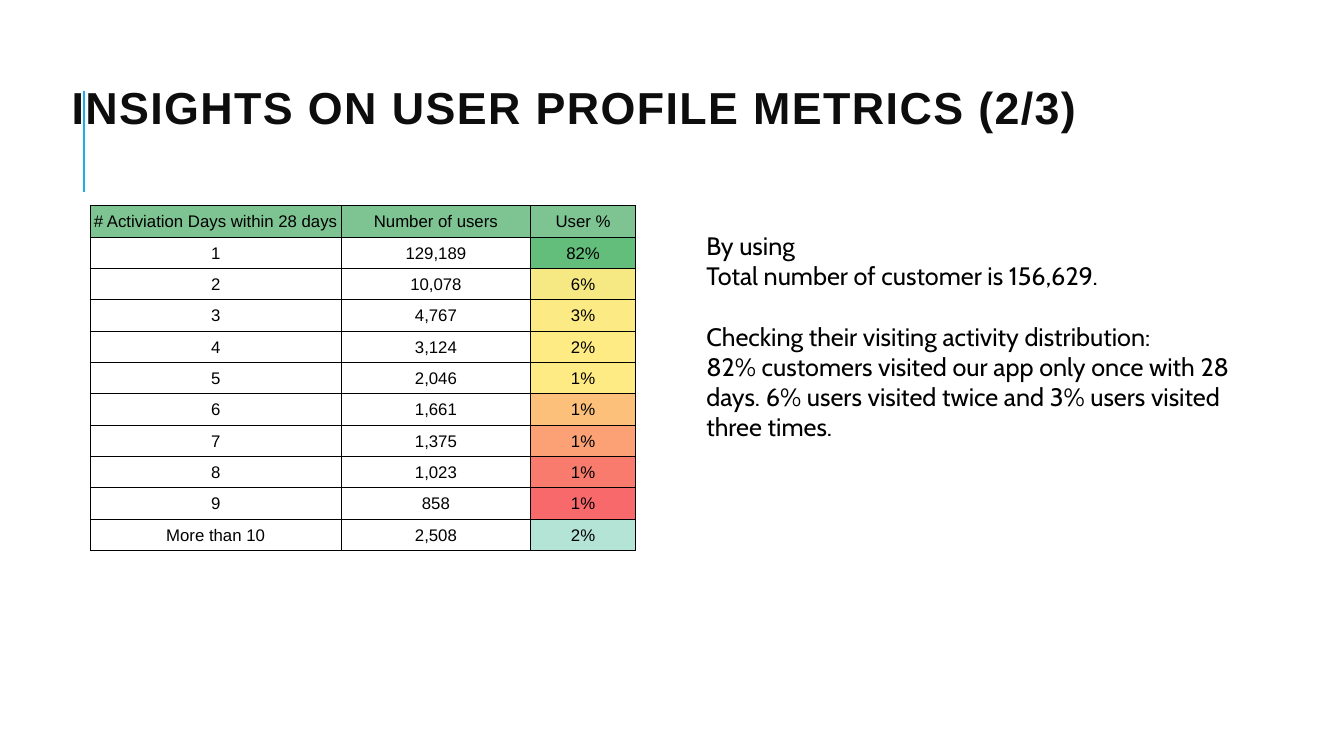
from lxml import etree
from pptx import Presentation
from pptx.dml.color import RGBColor
from pptx.enum.shapes import MSO_CONNECTOR
from pptx.enum.text import MSO_ANCHOR, MSO_AUTO_SIZE, PP_ALIGN
from pptx.oxml import parse_xml
from pptx.oxml.ns import nsdecls, qn
from pptx.util import Pt

MIDDLE, TOP = MSO_ANCHOR.MIDDLE, MSO_ANCHOR.TOP
LEFT, CENTER = PP_ALIGN.LEFT, PP_ALIGN.CENTER
NO_FIT, GROW = MSO_AUTO_SIZE.NONE, MSO_AUTO_SIZE.SHAPE_TO_FIT_TEXT
STRAIGHT = MSO_CONNECTOR.STRAIGHT

BLACK = RGBColor(0x00, 0x00, 0x00)
INK = RGBColor(0x0D, 0x0D, 0x0D)
ACCENT = RGBColor(0x1C, 0xAD, 0xE4)
HEADER_GREEN = RGBColor(0x7E, 0xC4, 0x92)

HEADING = "INSIGHTS ON USER PROFILE METRICS (2/3)"
INSIGHTS = [
    ("By using", 0),
    ("Total number of customer is 156,629.", 0),
    ("Checking their visiting activity distribution:", 21.8),
    ("82% customers visited our app only once with 28 days. "
     "6% users visited twice and 3% users visited three times.", 0),
]
COLUMNS = ("# Activiation Days within 28 days", "Number of users", "User %")
COLUMN_WIDTHS = (179.3, 135.4, 74.9)
ACTIVITY = [
    ("1", "129,189", "82%", RGBColor(0x63, 0xBE, 0x7B)),
    ("2", "10,078", "6%", RGBColor(0xF6, 0xE9, 0x84)),
    ("3", "4,767", "3%", RGBColor(0xFC, 0xEB, 0x84)),
    ("4", "3,124", "2%", RGBColor(0xFE, 0xEB, 0x84)),
    ("5", "2,046", "1%", RGBColor(0xFF, 0xEB, 0x84)),
    ("6", "1,661", "1%", RGBColor(0xFC, 0xC0, 0x7B)),
    ("7", "1,375", "1%", RGBColor(0xFB, 0xA1, 0x75)),
    ("8", "1,023", "1%", RGBColor(0xF8, 0x7B, 0x6E)),
    ("9", "858", "1%", RGBColor(0xF8, 0x69, 0x6B)),
    ("More than 10", "2,508", "2%", RGBColor(0xB3, 0xE4, 0xD6)),
]
ROW_HEIGHT = 22.42


def write(paragraph, text, font="Arial", size=12, color=BLACK, bold=False,
          align=LEFT, before=0, line_spacing=1.0, tracking=0):
    paragraph.alignment = align
    paragraph.space_before = Pt(before)
    paragraph.line_spacing = line_spacing
    run = paragraph.add_run()
    run.text = text
    run.font.name = font
    run.font.size = Pt(size)
    run.font.bold = bold
    run.font.color.rgb = color
    if tracking:
        run.font._element.set("spc", str(tracking * 100))


def border(cell, width=0.5, color=BLACK):
    properties = cell._tc.get_or_add_tcPr()
    for position, side in enumerate(("lnL", "lnR", "lnT", "lnB")):
        properties.insert(position, parse_xml(
            f'<a:{side} {nsdecls("a")} w="{Pt(width)}"><a:solidFill>'
            f'<a:srgbClr val="{color}"/></a:solidFill></a:{side}>'))


def fill_cell(cell, text, color):
    cell.vertical_anchor = MIDDLE
    cell.margin_left = cell.margin_right = cell.margin_top = Pt(0.75)
    cell.margin_bottom = 0
    write(cell.text_frame.paragraphs[0], text, align=CENTER)
    if color is None:
        cell.fill.background()
    else:
        cell.fill.solid()
        cell.fill.fore_color.rgb = color
    border(cell)


def add_heading(slide):
    heading = slide.shapes.title
    heading.left, heading.top = Pt(43.9), Pt(50.4)
    heading.width, heading.height = Pt(882.7), Pt(58.3)
    frame = heading.text_frame
    frame.word_wrap = True
    frame.auto_size = NO_FIT
    frame.vertical_anchor = MIDDLE
    write(frame.paragraphs[0], HEADING, size=32, color=INK, bold=True,
          line_spacing=0.8, tracking=1)


def add_accent(slide):
    accent = slide.shapes.add_connector(STRAIGHT, Pt(60), Pt(136.8), Pt(60), Pt(64.8))
    accent.line.color.rgb = ACCENT
    accent.line.width = Pt(1.5)
    etree.SubElement(accent._element.spPr, qn("a:effectLst"))


def add_insights(slide):
    frame = slide.shapes.add_textbox(Pt(497.5), Pt(160.6), Pt(398.2), Pt(159.8)).text_frame
    frame.word_wrap = True
    frame.auto_size = GROW
    frame.vertical_anchor = TOP
    for index, (sentence, gap) in enumerate(INSIGHTS):
        paragraph = frame.add_paragraph() if index else frame.paragraphs[0]
        write(paragraph, sentence, font="Cabin", size=18, before=gap)


def add_activity(slide):
    rows = [(COLUMNS, (HEADER_GREEN,) * 3)]
    rows += [(values, (None, None, shade)) for *values, shade in ACTIVITY]
    activity = slide.shapes.add_table(
        len(rows), len(COLUMNS), Pt(64.4), Pt(146.9),
        Pt(sum(COLUMN_WIDTHS)), Pt(ROW_HEIGHT * len(rows))).table
    activity.first_row = activity.horz_banding = False
    for column, width in zip(activity.columns, COLUMN_WIDTHS):
        column.width = Pt(width)
    for row, (texts, shades) in zip(activity.rows, rows):
        row.height = Pt(ROW_HEIGHT)
        for cell, text, shade in zip(row.cells, texts, shades):
            fill_cell(cell, text, shade)


def main():
    deck = Presentation()
    deck.slide_width, deck.slide_height = Pt(960), Pt(540)
    slide = deck.slides.add_slide(deck.slide_layouts[5])
    add_accent(slide)
    add_heading(slide)
    add_insights(slide)
    add_activity(slide)
    deck.save("out.pptx")


if __name__ == "__main__":
    main()
